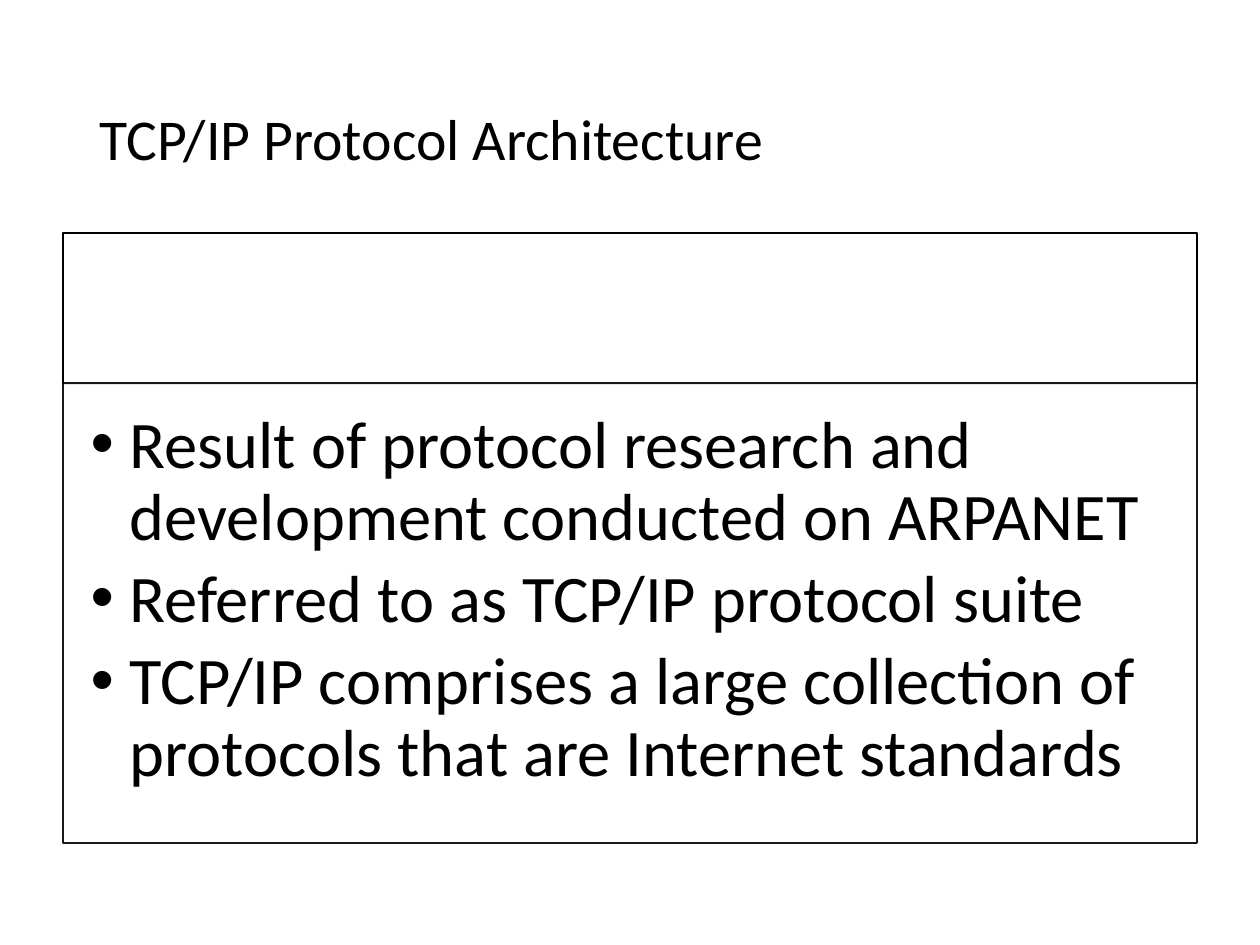
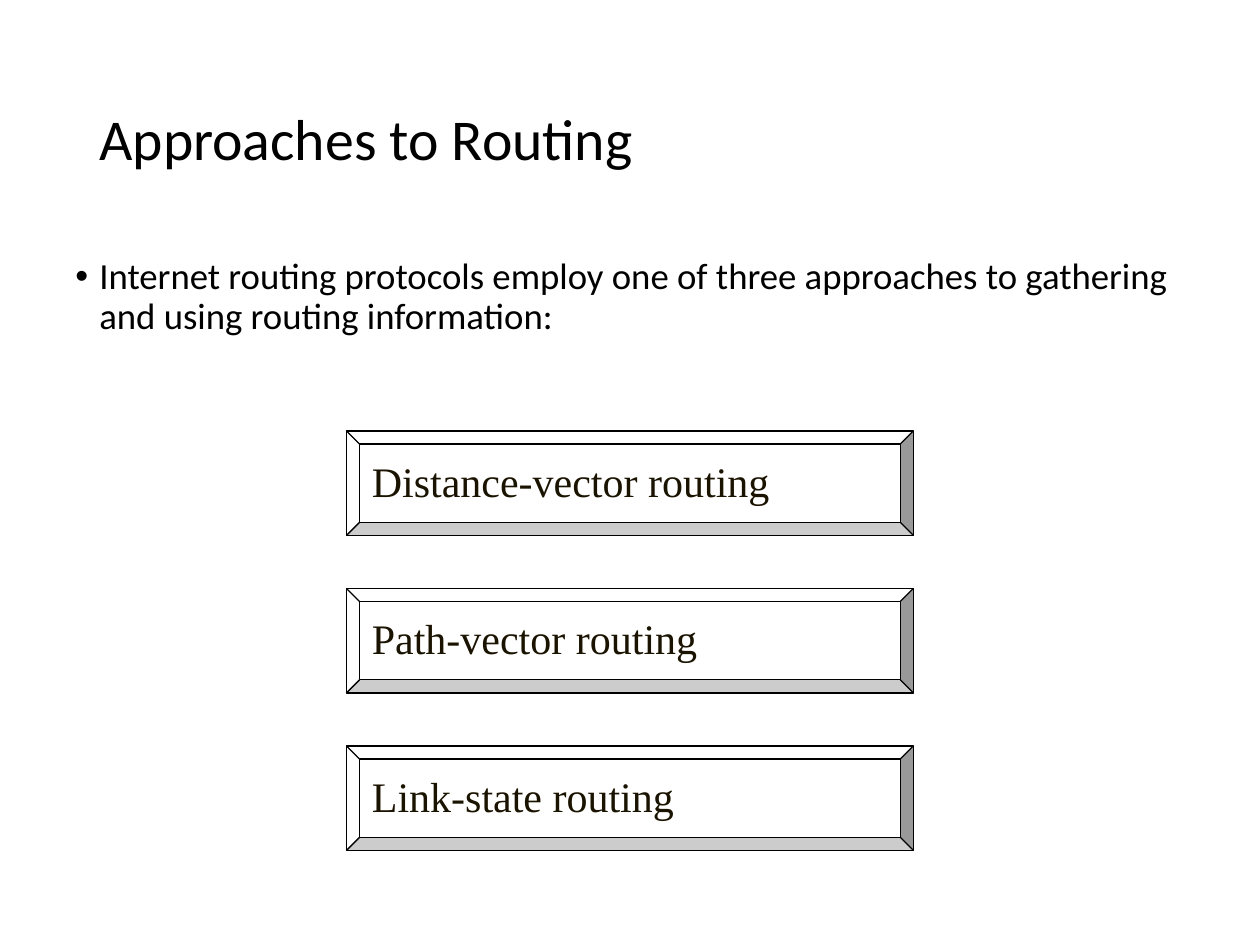
from dataclasses import dataclass
from typing import Optional

from lxml import etree
from pptx import Presentation
from pptx.dml.color import RGBColor
from pptx.enum.shapes import MSO_SHAPE
from pptx.enum.text import MSO_ANCHOR, PP_ALIGN
from pptx.oxml.ns import qn
from pptx.util import Emu, Inches, Pt

RECTANGLE = MSO_SHAPE.RECTANGLE
BEVEL = MSO_SHAPE.BEVEL
TOP = MSO_ANCHOR.TOP
MIDDLE = MSO_ANCHOR.MIDDLE
LEFT = PP_ALIGN.LEFT
CELL = Inches(0.25)
COLUMNS, ROWS = 40, 30


@dataclass(frozen=True)
class TextStyle:
    font: str
    size: float
    color: RGBColor
    insets: tuple[float, float, float, float] = (0.1, 0.05, 0.1, 0.05)
    anchor: MSO_ANCHOR = TOP
    line_spacing: float = 0.9
    space_after: float = 0
    bullet_indent: float = 0


@dataclass(frozen=True)
class Theme:
    paper: RGBColor
    ink: RGBColor
    title: TextStyle
    panel: TextStyle
    body: TextStyle
    button: TextStyle


@dataclass(frozen=True)
class Area:
    column: float
    row: float
    width: float
    height: float

    def lengths(self) -> list[Emu]:
        return [Emu(round(cells * CELL)) for cells in (self.column, self.row, self.width, self.height)]


@dataclass(frozen=True)
class Box:
    area: Area
    preset: MSO_SHAPE
    line_width: float
    opacity: Optional[int] = None


BLACK = RGBColor(0x00, 0x00, 0x00)
THEME = Theme(
    paper=RGBColor(0xFF, 0xFF, 0xFF),
    ink=BLACK,
    title=TextStyle("Calibri", 33, BLACK, anchor=MIDDLE),
    panel=TextStyle("Calibri", 38, BLACK, (0.22, 0.22, 0.3, 0.33), space_after=6, bullet_indent=0.31),
    body=TextStyle("Calibri", 21, BLACK, bullet_indent=0.19),
    button=TextStyle("Times New Roman", 24, RGBColor(0x1A, 0x13, 0x00), (0.1, 0.09, 0.1, 0.05), line_spacing=1),
)

TITLE_AREA = Area(2.76, 1.6, 34.48, 5.8)
HEADER_PANEL = Box(Area(2, 7.4, 36, 4.8), RECTANGLE, 1)
CONTENT_PANEL = Box(Area(2, 12.16, 36, 14.6), RECTANGLE, 1, opacity=90)
BODY_AREA = Area(2, 8, 36, 7)
FIRST_BUTTON_ROW, BUTTON_PITCH = 13.68, 5

ARCHITECTURE_POINTS = [
    "Result of protocol research and development conducted on ARPANET",
    "Referred to as TCP/IP protocol suite",
    "TCP/IP comprises a large collection of protocols that are Internet standards",
]
ROUTING_INTRODUCTION = [
    "Internet routing protocols employ one of three approaches to gathering and using routing information:",
]
ROUTING_APPROACHES = ["Distance-vector routing", "Path-vector routing", "Link-state routing"]


def apply_format(target, values: dict) -> None:
    for name, value in values.items():
        setattr(target, name, value)


def add_bullet(paragraph, indent: float) -> None:
    properties = paragraph._p.get_or_add_pPr()
    properties.set("marL", str(Inches(indent)))
    properties.set("indent", str(-Inches(indent)))
    etree.SubElement(properties, qn("a:buFont")).set("typeface", "Arial")
    etree.SubElement(properties, qn("a:buChar")).set("char", "•")


def write_text(shape, lines: list[str], style: TextStyle) -> None:
    frame = shape.text_frame
    margins = ("margin_left", "margin_top", "margin_right", "margin_bottom")
    apply_format(frame, dict(zip(margins, map(Inches, style.insets))))
    apply_format(frame, {"word_wrap": True, "vertical_anchor": style.anchor})
    for index, line in enumerate(lines):
        paragraph = frame.add_paragraph() if index else frame.paragraphs[0]
        paragraph.text = line
        if style.bullet_indent:
            add_bullet(paragraph, style.bullet_indent)
        apply_format(paragraph, {
            "alignment": LEFT,
            "line_spacing": style.line_spacing,
            "space_after": Pt(style.space_after),
        })
        apply_format(paragraph.font, {"name": style.font, "size": Pt(style.size)})
        paragraph.font.color.rgb = style.color


def add_text(slide, area: Area, lines: list[str], style: TextStyle) -> None:
    write_text(slide.shapes.add_textbox(*area.lengths()), lines, style)


def add_box(slide, box: Box):
    shape = slide.shapes.add_shape(box.preset, *box.area.lengths())
    shape.shadow.inherit = False
    shape.fill.solid()
    shape.fill.fore_color.rgb = THEME.paper
    shape.line.color.rgb = THEME.ink
    shape.line.width = Pt(box.line_width)
    if box.opacity is not None:
        for color in shape._element.spPr.iter(qn("a:srgbClr")):
            etree.SubElement(color, qn("a:alpha")).set("val", str(box.opacity * 1000))
    return shape


def add_titled_slide(presentation, title: str):
    slide = presentation.slides.add_slide(presentation.slide_layouts[6])
    slide.background.fill.solid()
    slide.background.fill.fore_color.rgb = THEME.paper
    add_text(slide, TITLE_AREA, [title], THEME.title)
    return slide


def add_architecture_slide(presentation) -> None:
    slide = add_titled_slide(presentation, "TCP/IP Protocol Architecture")
    add_box(slide, HEADER_PANEL)
    write_text(add_box(slide, CONTENT_PANEL), ARCHITECTURE_POINTS, THEME.panel)


def add_routing_slide(presentation) -> None:
    slide = add_titled_slide(presentation, "Approaches to Routing")
    add_text(slide, BODY_AREA, ROUTING_INTRODUCTION, THEME.body)
    for index, approach in enumerate(ROUTING_APPROACHES):
        area = Area(11, FIRST_BUTTON_ROW + index * BUTTON_PITCH, 18, 3.32)
        write_text(add_box(slide, Box(area, BEVEL, 0.75)), [approach], THEME.button)


def main() -> None:
    presentation = Presentation()
    apply_format(presentation, {"slide_width": COLUMNS * CELL, "slide_height": ROWS * CELL})
    add_architecture_slide(presentation)
    add_routing_slide(presentation)
    presentation.save("out.pptx")


if __name__ == "__main__":
    main()
